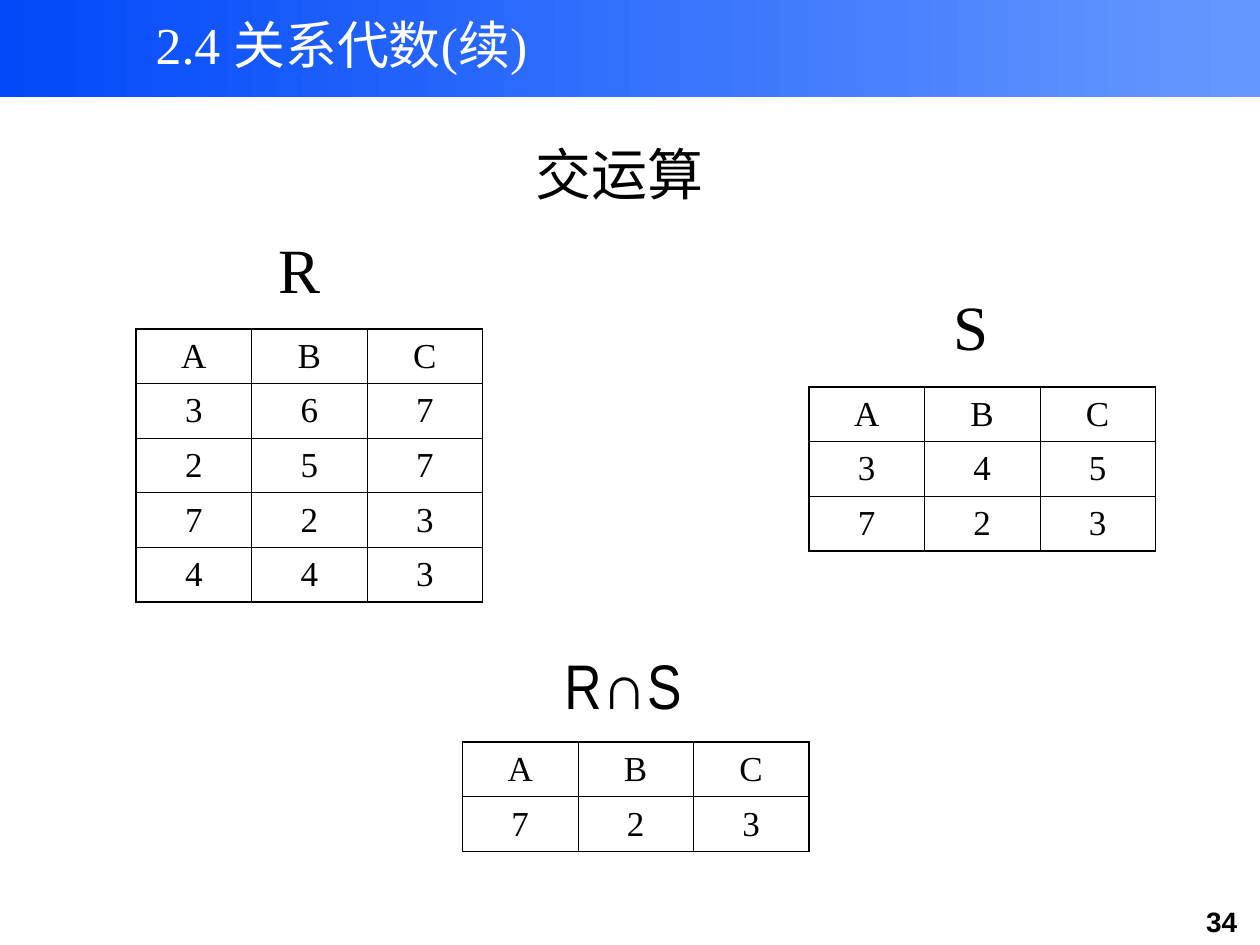
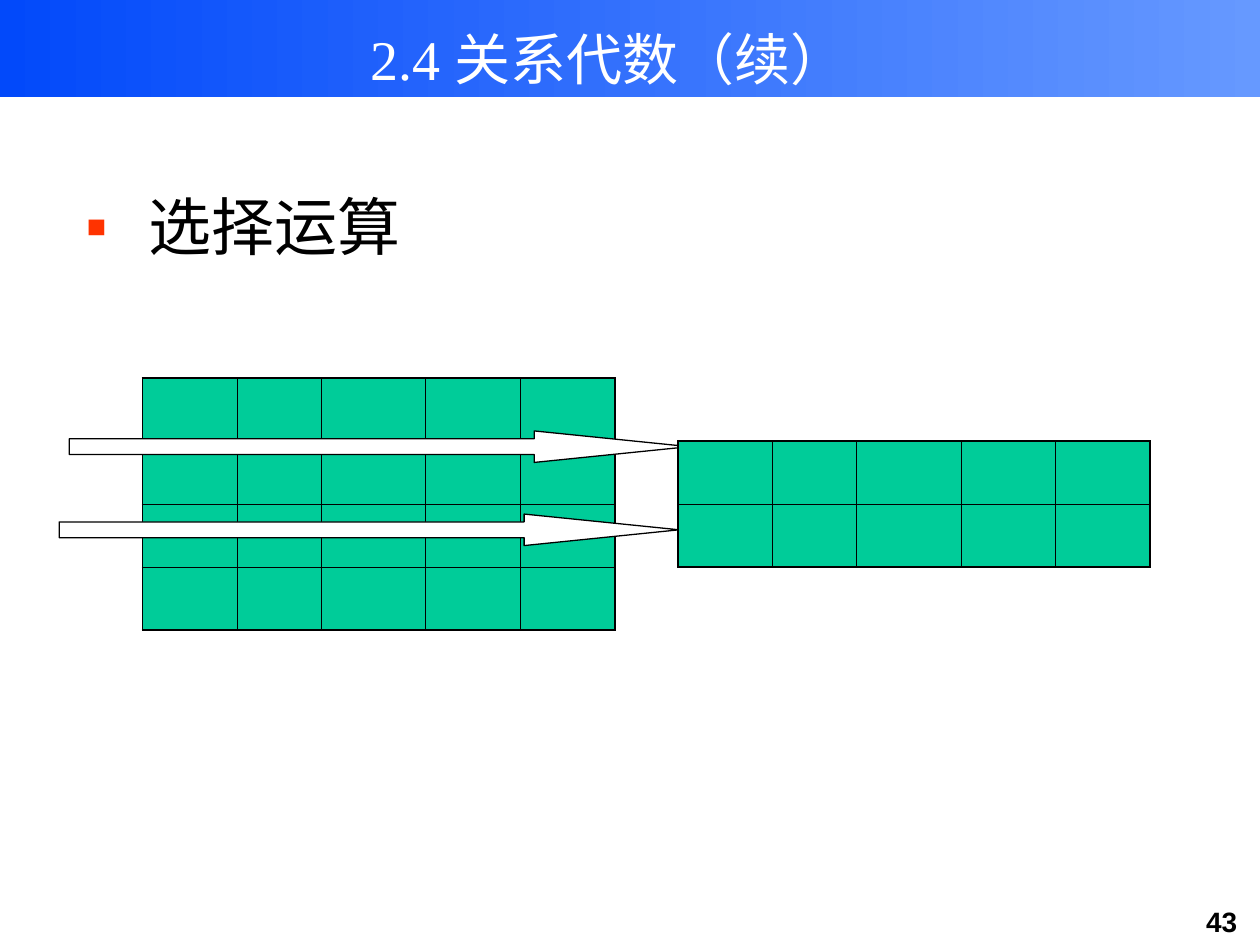
from dataclasses import dataclass

from lxml.etree import SubElement
from pptx import Presentation
from pptx.dml.color import RGBColor
from pptx.enum.shapes import MSO_SHAPE
from pptx.enum.text import MSO_ANCHOR, PP_ALIGN
from pptx.oxml.ns import qn
from pptx.slide import Slide
from pptx.text.text import _Paragraph
from pptx.util import Inches, Pt

BLACK = "000000"
WHITE = "FFFFFF"
BAND_LEFT = "0249FA"
BAND_RIGHT = "6699FF"
BULLET_RED = "FF3300"
CELL_GREEN = "00CC99"
SERIF = "Times New Roman"
OUTER_LINE = 1.08
INNER_LINE = 0.45


@dataclass(frozen=True)
class Label:
    text: str
    left: float
    top: float
    width: float
    height: float
    size: float = 36
    font: str = SERIF
    color: str = BLACK
    bold: bool = False
    anchor: MSO_ANCHOR = MSO_ANCHOR.TOP
    align: PP_ALIGN = PP_ALIGN.CENTER


@dataclass(frozen=True)
class Relation:
    """A grid of cells; rows hold one character per column."""
    left: float
    top: float
    rows: list[str]
    column_widths: list[float]
    row_height: float
    fill: str | None = None


@dataclass(frozen=True)
class SelectionArrow:
    left: float
    top: float


VALUE_COLUMNS = [2.75 / 3] * 3
VALUE_ROW = 1.3 / 3
BLANK_COLUMNS = [0.75, 0.67, 0.83, 0.75, 0.75]
BLANK_ROW = " " * len(BLANK_COLUMNS)

INTERSECTION_LABELS = [
    Label("交运算", 3.5, 0.83, 2.83, 0.86, 32, anchor=MSO_ANCHOR.BOTTOM),
    Label("R", 1.92, 1.78, 0.92, 0.7),
    Label("S", 7.25, 2.23, 0.92, 0.7),
    Label("R∩S", 4.28, 5.08, 1.33, 0.7, font="Arial Narrow"),
]
INTERSECTION_RELATIONS = [
    Relation(1.08, 2.61, ["ABC", "367", "257", "723", "443"], VALUE_COLUMNS, VALUE_ROW),
    Relation(6.42, 3.07, ["ABC", "345", "723"], VALUE_COLUMNS, VALUE_ROW),
    Relation(3.67, 5.89, ["ABC", "723"], VALUE_COLUMNS, VALUE_ROW),
]
SELECTION_SOURCE = Relation(1.13, 3, [BLANK_ROW] * 4, BLANK_COLUMNS, 0.5, CELL_GREEN)
SELECTION_RESULT = Relation(5.38, 3.5, [BLANK_ROW] * 2, BLANK_COLUMNS, 0.5, CELL_GREEN)
SELECTION_ARROWS = [SelectionArrow(0.55, 3.42), SelectionArrow(0.47, 4.08)]


def rgb(color: str) -> RGBColor:
    return RGBColor.from_string(color)


def style_paragraph(paragraph: _Paragraph, size: float, font: str = SERIF,
                    color: str = BLACK, bold: bool = False) -> None:
    paragraph.font.size = Pt(size)
    paragraph.font.name = font
    paragraph.font.bold = bold
    paragraph.font.color.rgb = rgb(color)


def add_label(slide: Slide, label: Label, bullet: str | None = None) -> None:
    box = slide.shapes.add_textbox(Inches(label.left), Inches(label.top),
                                   Inches(label.width), Inches(label.height))
    frame = box.text_frame
    frame.word_wrap = True
    frame.vertical_anchor = label.anchor
    paragraph = frame.paragraphs[0]
    paragraph.text = label.text
    paragraph.alignment = label.align
    if bullet:
        add_bullet(paragraph, bullet)
    style_paragraph(paragraph, label.size, label.font, label.color, label.bold)


def add_bullet(paragraph: _Paragraph, character: str) -> None:
    properties = paragraph._p.get_or_add_pPr()
    properties.set("marL", str(Inches(0.5)))
    properties.set("indent", str(-Inches(0.5)))
    bullet_color = SubElement(properties, qn("a:buClr"))
    SubElement(bullet_color, qn("a:srgbClr"), val=BULLET_RED)
    SubElement(properties, qn("a:buFont"), typeface="Arial")
    SubElement(properties, qn("a:buChar"), char=character)


def add_border(cell, side: str, width: float) -> None:
    line = SubElement(cell._tc.get_or_add_tcPr(), qn(f"a:ln{side}"), w=str(Pt(width)))
    fill = SubElement(line, qn("a:solidFill"))
    SubElement(fill, qn("a:srgbClr"), val=BLACK)


def add_relation(slide: Slide, relation: Relation) -> None:
    row_count, column_count = len(relation.rows), len(relation.column_widths)
    table = slide.shapes.add_table(
        row_count, column_count, Inches(relation.left), Inches(relation.top),
        Inches(sum(relation.column_widths)), Inches(relation.row_height * row_count)).table
    table.first_row = table.horz_banding = False
    for column, width in zip(table.columns, relation.column_widths):
        column.width = Inches(width)
    for row_index, values in enumerate(relation.rows):
        table.rows[row_index].height = Inches(relation.row_height)
        for column_index, value in enumerate(values):
            cell = table.cell(row_index, column_index)
            outer_sides = {
                "L": column_index == 0,
                "R": column_index == column_count - 1,
                "T": row_index == 0,
                "B": row_index == row_count - 1,
            }
            for side, is_outer in outer_sides.items():
                add_border(cell, side, OUTER_LINE if is_outer else INNER_LINE)
            if relation.fill:
                cell.fill.solid()
                cell.fill.fore_color.rgb = rgb(relation.fill)
            else:
                cell.fill.background()
            cell.vertical_anchor = MSO_ANCHOR.MIDDLE
            paragraph = cell.text_frame.paragraphs[0]
            paragraph.text = value.strip()
            paragraph.alignment = PP_ALIGN.CENTER
            style_paragraph(paragraph, 20)


def add_selection_arrow(slide: Slide, arrow: SelectionArrow) -> None:
    shape = slide.shapes.add_shape(MSO_SHAPE.RIGHT_ARROW, Inches(arrow.left),
                                   Inches(arrow.top), Inches(4.92), Inches(0.25))
    shape.shadow.inherit = False
    shape.adjustments[0] = 0.5
    shape.adjustments[1] = 4.92
    shape.fill.solid()
    shape.fill.fore_color.rgb = rgb(WHITE)
    shape.line.color.rgb = rgb(BLACK)
    shape.line.width = Pt(0.75)


def add_base_slide(presentation, title: Label, number: int) -> Slide:
    """Add a slide with the gradient band, its title and the page number."""
    slide = presentation.slides.add_slide(presentation.slide_layouts[6])
    band = slide.shapes.add_shape(MSO_SHAPE.RECTANGLE, 0, 0,
                                  presentation.slide_width, Inches(0.77))
    band.shadow.inherit = False
    band.line.fill.background()
    band.fill.gradient()
    band.fill.gradient_angle = 0
    for stop, color in zip(band.fill.gradient_stops, (BAND_LEFT, BAND_RIGHT)):
        stop.color.rgb = rgb(color)
    add_label(slide, Label(str(number), 9.39, 7.13, 0.61, 0.37, 16, "Arial", bold=True))
    add_label(slide, title)
    return slide


def build_intersection_slide(presentation) -> None:
    title = Label("2.4 关系代数(续)", 0.92, 0.01, 3.58, 0.67, 29.6,
                  color=WHITE, anchor=MSO_ANCHOR.MIDDLE)
    slide = add_base_slide(presentation, title, 34)
    for label in INTERSECTION_LABELS:
        add_label(slide, label)
    for relation in INTERSECTION_RELATIONS:
        add_relation(slide, relation)


def build_selection_slide(presentation) -> None:
    title = Label("2.4 关系代数（续）", 0.58, 0, 8.5, 0.92, 32,
                  color=WHITE, anchor=MSO_ANCHOR.MIDDLE)
    slide = add_base_slide(presentation, title, 43)
    add_label(slide, Label("选择运算", 0.58, 1.44, 8.5, 4.73, align=PP_ALIGN.LEFT), "▪")
    add_relation(slide, SELECTION_SOURCE)
    for arrow in SELECTION_ARROWS:
        add_selection_arrow(slide, arrow)
    add_relation(slide, SELECTION_RESULT)


def main() -> None:
    presentation = Presentation()
    presentation.slide_width = Inches(10)
    presentation.slide_height = Inches(7.5)
    build_intersection_slide(presentation)
    build_selection_slide(presentation)
    presentation.save("out.pptx")


if __name__ == "__main__":
    main()
